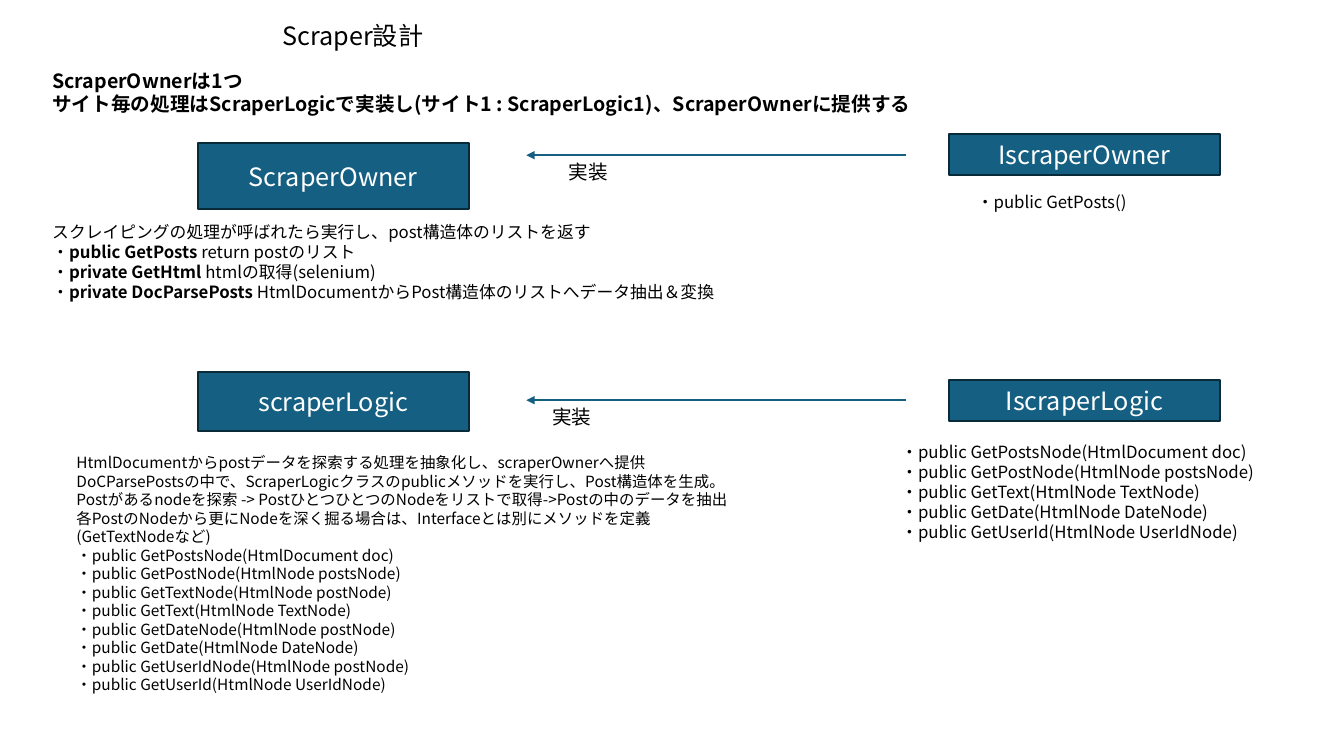
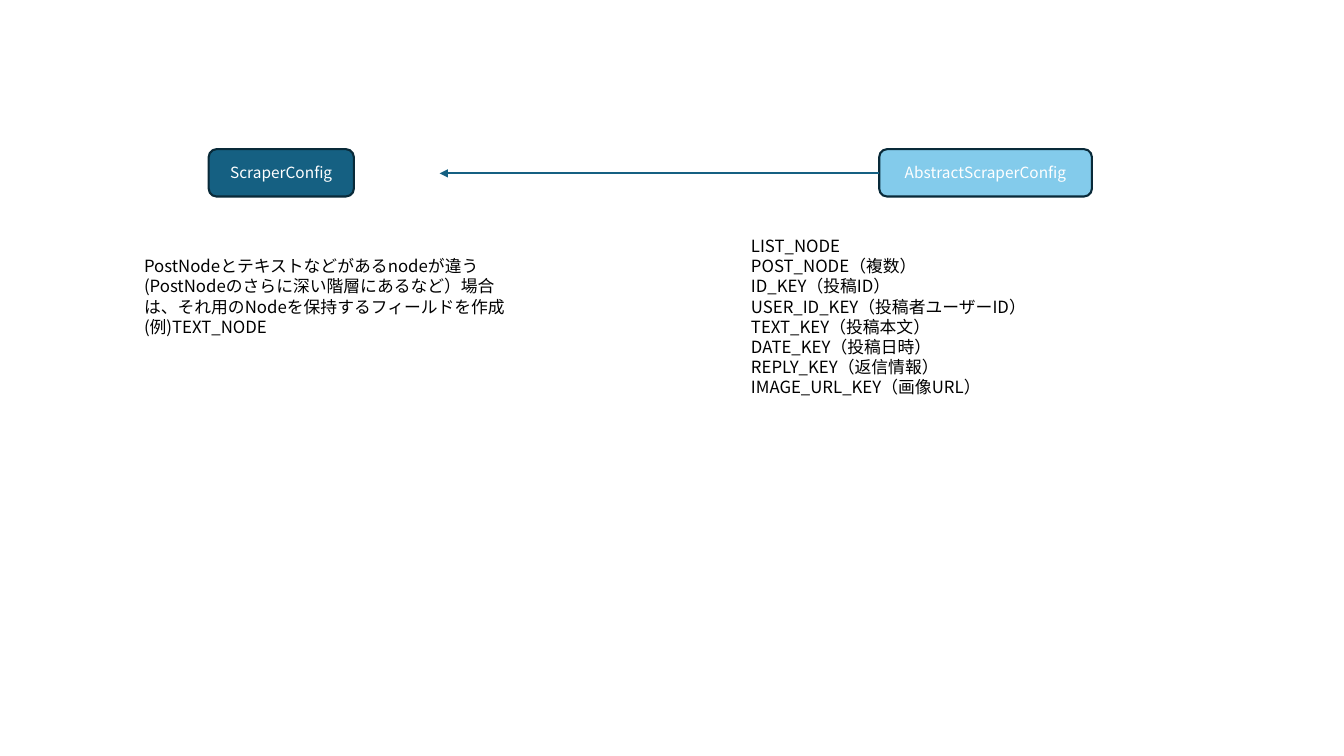
from lxml import etree
from pptx import Presentation
from pptx.dml.color import RGBColor
from pptx.enum.shapes import MSO_CONNECTOR, MSO_SHAPE
from pptx.enum.text import MSO_ANCHOR, MSO_AUTO_SIZE, PP_ALIGN
from pptx.oxml.ns import qn
from pptx.util import Inches, Pt

FONT = "Noto Sans CJK JP"
BLUE = RGBColor(0x15, 0x60, 0x82)
LIGHT_BLUE = RGBColor(0x83, 0xCB, 0xEB)
NAVY = RGBColor(0x09, 0x2A, 0x39)
BLACK = RGBColor(0, 0, 0)
WHITE = RGBColor(0xFF, 0xFF, 0xFF)

RECTANGLE = MSO_SHAPE.RECTANGLE
ROUNDED = MSO_SHAPE.ROUNDED_RECTANGLE
STRAIGHT = MSO_CONNECTOR.STRAIGHT
LEFT, CENTER = PP_ALIGN.LEFT, PP_ALIGN.CENTER
TOP, MIDDLE = MSO_ANCHOR.TOP, MSO_ANCHOR.MIDDLE
NO_FIT = MSO_AUTO_SIZE.NONE

TITLE_ONLY, BLANK = 5, 6
LINE_WIDTH = Pt(1.5)
LINE_SPACING = 1.2


def set_format(target, values):
    for name, value in values.items():
        setattr(target, name, value)


def add_span(para, text, size, color, bold):
    span = para.add_run()
    span.text = text
    set_format(span.font, {"name": FONT, "size": Pt(size), "bold": bold})
    span.font.color.rgb = color
    east_asian = etree.SubElement(span.font._element, qn("a:ea"))
    east_asian.set("typeface", FONT)


def write(box, paragraphs, size, color=BLACK, bold=False, align=LEFT, anchor=TOP):
    """Fill a box; a paragraph is a string or a sequence of (text, bold) spans."""
    frame = box.text_frame
    set_format(frame, {"word_wrap": True, "auto_size": NO_FIT,
                       "vertical_anchor": anchor})
    for index, content in enumerate(paragraphs):
        para = frame.add_paragraph() if index else frame.paragraphs[0]
        set_format(para, {"alignment": align, "space_before": Pt(0),
                          "line_spacing": Pt(round(size * LINE_SPACING, 1))})
        spans = [(content, bold)] if isinstance(content, str) else content
        for text, span_bold in spans:
            add_span(para, text, size, color, span_bold)


def add_title(page, text, left, top, width, height):
    title = page.shapes.title
    set_format(title, {"left": Inches(left), "top": Inches(top),
                       "width": Inches(width), "height": Inches(height)})
    write(title, [text], 18)


def add_text(page, paragraphs, left, top, width, height, size=12, bold=False):
    box = page.shapes.add_textbox(
        Inches(left), Inches(top), Inches(width), Inches(height))
    write(box, paragraphs, size, bold=bold)


def add_class_box(page, name, left, top, width, height,
                  size=18, kind=RECTANGLE, fill=BLUE):
    box = page.shapes.add_shape(
        kind, Inches(left), Inches(top), Inches(width), Inches(height))
    box.shadow.inherit = False
    box.fill.solid()
    box.fill.fore_color.rgb = fill
    box.line.color.rgb = NAVY
    box.line.width = LINE_WIDTH
    write(box, [name], size, WHITE, align=CENTER, anchor=MIDDLE)


def add_arrow(page, start, end, y):
    arrow = page.shapes.add_connector(
        STRAIGHT, Inches(start), Inches(y), Inches(end), Inches(y))
    arrow.line.color.rgb = BLUE
    arrow.line.width = LINE_WIDTH
    properties = arrow._element.spPr
    head = etree.SubElement(properties.find(qn("a:ln")), qn("a:tailEnd"))
    head.set("type", "triangle")
    etree.SubElement(properties, qn("a:effectLst"))


def public_methods(*signatures):
    return [f"・public {signature}" for signature in signatures]


def described_method(name, description):
    return [("・", False), (f"{name} ", True), (description, False)]


def build_design_page(deck):
    page = deck.slides.add_slide(deck.slide_layouts[TITLE_ONLY])
    add_title(page, "Scraper設計", 2.7, 0.15, 2.53, 0.4)
    add_text(page, [
        "ScraperOwnerは1つ",
        "サイト毎の処理はScraperLogicで実装し(サイト1 : ScraperLogic1)、"
        "ScraperOwnerに提供する",
    ], 0.42, 0.63, 9.17, 0.57, size=14, bold=True)

    class_left, interface_left, width = 1.96, 9.41, 2.69
    for name, left, top, height in (
        ("ScraperOwner", class_left, 1.42, 0.65),
        ("IscraperOwner", interface_left, 1.33, 0.41),
        ("scraperLogic", class_left, 3.69, 0.59),
        ("IscraperLogic", interface_left, 3.77, 0.41),
    ):
        add_class_box(page, name, left, top, width, height)

    for y, label_left in ((1.54, 5.54), (3.97, 5.38)):
        add_arrow(page, 8.99, 5.22, y)
        add_text(page, ["実装"], label_left, y, 1.38, 0.34, size=14)

    add_text(page, [
        "スクレイピングの処理が呼ばれたら実行し、post構造体のリストを返す",
        described_method("public GetPosts", "return postのリスト"),
        described_method("private GetHtml", "htmlの取得(selenium)"),
        described_method("private DocParsePosts",
                         "HtmlDocumentからPost構造体のリストへデータ抽出＆変換"),
    ], 0.42, 2.15, 6.8, 1.11)
    add_text(page, public_methods("GetPosts()"), 9.59, 1.85, 3.33, 0.3)

    add_text(page, [
        "HtmlDocumentからpostデータを探索する処理を抽象化し、scraperOwnerへ提供",
        "DoCParsePostsの中で、ScraperLogicクラスのpublicメソッドを実行し、"
        "Post構造体を生成。",
        "Postがあるnodeを探索 -> PostひとつひとつのNodeをリストで取得"
        "->Postの中のデータを抽出",
        "各PostのNodeから更にNodeを深く掘る場合は、"
        "Interfaceとは別にメソッドを定義(GetTextNodeなど)",
        *public_methods(
            "GetPostsNode(HtmlDocument doc)",
            "GetPostNode(HtmlNode postsNode)",
            "GetTextNode(HtmlNode postNode)",
            "GetText(HtmlNode TextNode)",
            "GetDateNode(HtmlNode postNode)",
            "GetDate(HtmlNode DateNode)",
            "GetUserIdNode(HtmlNode postNode)",
            "GetUserId(HtmlNode UserIdNode)",
        ),
    ], 0.66, 4.45, 6.8, 2.51, size=11)
    add_text(page, public_methods(
        "GetPostsNode(HtmlDocument doc)",
        "GetPostNode(HtmlNode postsNode)",
        "GetText(HtmlNode TextNode)",
        "GetDate(HtmlNode DateNode)",
        "GetUserId(HtmlNode UserIdNode)",
    ), 8.84, 4.33, 4.49, 1.11)


def build_config_page(deck):
    page = deck.slides.add_slide(deck.slide_layouts[BLANK])
    for name, left, width, fill in (
        ("ScraperConfig", 2.07, 1.44, BLUE),
        ("AbstractScraperConfig", 8.72, 2.11, LIGHT_BLUE),
    ):
        add_class_box(page, name, left, 1.48, width, 0.47,
                      size=11, kind=ROUNDED, fill=fill)
    add_arrow(page, 8.72, 4.36, 1.72)

    add_text(page, [
        "LIST_NODE",
        "POST_NODE（複数）",
        "ID_KEY（投稿ID）",
        "USER_ID_KEY（投稿者ユーザーID）",
        "TEXT_KEY（投稿本文）",
        "DATE_KEY（投稿日時）",
        "REPLY_KEY（返信情報）",
        "IMAGE_URL_KEY（画像URL）",
    ], 7.35, 2.29, 4.68, 1.72)
    add_text(page, [
        "PostNodeとテキストなどがあるnodeが違う"
        "(PostNodeのさらに深い階層にあるなど）場合は、"
        "それ用のNodeを保持するフィールドを作成(例)TEXT_NODE",
    ], 1.33, 2.49, 3.81, 0.91)


def main():
    deck = Presentation()
    deck.slide_width, deck.slide_height = Inches(13.33), Inches(7.5)
    build_design_page(deck)
    build_config_page(deck)
    deck.save("out.pptx")


if __name__ == "__main__":
    main()
